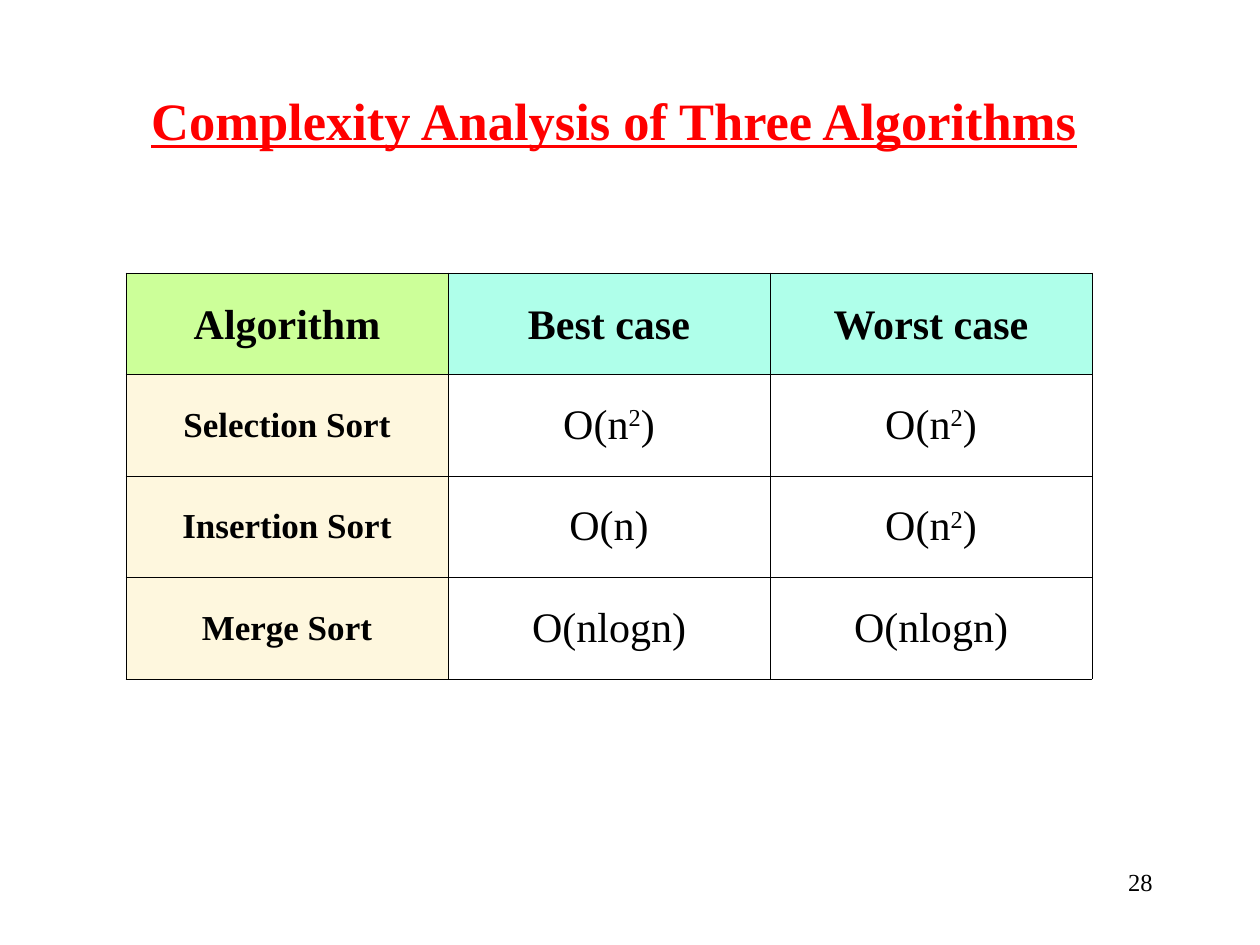
from lxml import etree
from pptx import Presentation, util as u
from pptx.dml.color import RGBColor
from pptx.enum import text
from pptx.oxml.ns import qn

EMU_PER_PX = 914400 / 126
FONT = "Times New Roman"
RED = RGBColor(0xFF, 0x00, 0x00)
BLACK = RGBColor(0x00, 0x00, 0x00)
WHITE = RGBColor(0xFF, 0xFF, 0xFF)
GREEN = RGBColor(0xCC, 0xFF, 0x99)
AQUA = RGBColor(0xAF, 0xFF, 0xEA)
CREAM = RGBColor(0xFE, 0xF7, 0xDE)


def px(*lengths):
    return [u.Emu(round(length * EMU_PER_PX)) for length in lengths]


def write(paragraph, wording, align, size, color=BLACK, **formats):
    """Write the wording; the part after each ^ starts with one raised character."""
    paragraph.alignment = align
    base, *powers = wording.split("^")
    pieces = [(base, False)]
    for power in powers:
        pieces += [(power[0], True), (power[1:], False)]
    for piece, raised in pieces:
        run = paragraph.add_run()
        run.text = piece
        for name, value in dict(name=FONT, size=u.Pt(size), **formats).items():
            setattr(run.font, name, value)
        run.font.color.rgb = color
        if raised:
            run.font._element.set("baseline", "30000")


prs = Presentation()
prs.slide_width, prs.slide_height = px(1260, 945)
slide = prs.slides.add_slide(prs.slide_layouts[6])

# Title and page number
LABELS = [
    ("Complexity Analysis of Three Algorithms", (105, 63, 1018, 113),
     text.MSO_ANCHOR.MIDDLE, text.PP_ALIGN.CENTER,
     dict(size=30, color=RED, bold=True, underline=True)),
    ("28", (903, 861, 262, 63),
     text.MSO_ANCHOR.TOP, text.PP_ALIGN.RIGHT, dict(size=14)),
]
for wording, place, anchor, align, formats in LABELS:
    frame = slide.shapes.add_textbox(*px(*place)).text_frame
    frame.word_wrap = True
    frame.vertical_anchor = anchor
    write(frame.paragraphs[0], wording, align, **formats)

# Complexity table
ROWS = [
    ("Algorithm", "Best case", "Worst case"),
    ("Selection Sort", "O(n^2)", "O(n^2)"),
    ("Insertion Sort", "O(n)", "O(n^2)"),
    ("Merge Sort", "O(nlogn)", "O(nlogn)"),
]
complexity = slide.shapes.add_table(
    len(ROWS), len(ROWS[0]), *px(126, 273, 966, 406)).table
complexity.first_row = complexity.horz_banding = False

for r, row in enumerate(ROWS):
    for c, wording in enumerate(row):
        cell = complexity.cell(r, c)
        header, algorithm = r == 0, c == 0

        # Thin black borders go before the fill
        properties = cell._tc.get_or_add_tcPr()
        for side in ("lnL", "lnR", "lnT", "lnB"):
            border = etree.SubElement(properties, qn(f"a:{side}"), w=str(u.Pt(0.45)))
            solid = etree.SubElement(border, qn("a:solidFill"))
            etree.SubElement(solid, qn("a:srgbClr"), val=str(BLACK))

        cell.fill.solid()
        if header:
            cell.fill.fore_color.rgb = GREEN if algorithm else AQUA
        else:
            cell.fill.fore_color.rgb = CREAM if algorithm else WHITE

        paragraph = cell.text_frame.paragraphs[0]
        if header:
            cell.vertical_anchor = text.MSO_ANCHOR.TOP
            paragraph.line_spacing = 1.5
        else:
            cell.vertical_anchor = text.MSO_ANCHOR.MIDDLE
        write(paragraph, wording, text.PP_ALIGN.CENTER,
              size=20 if algorithm and not header else 24,
              bold=header or algorithm)

prs.save("out.pptx")
